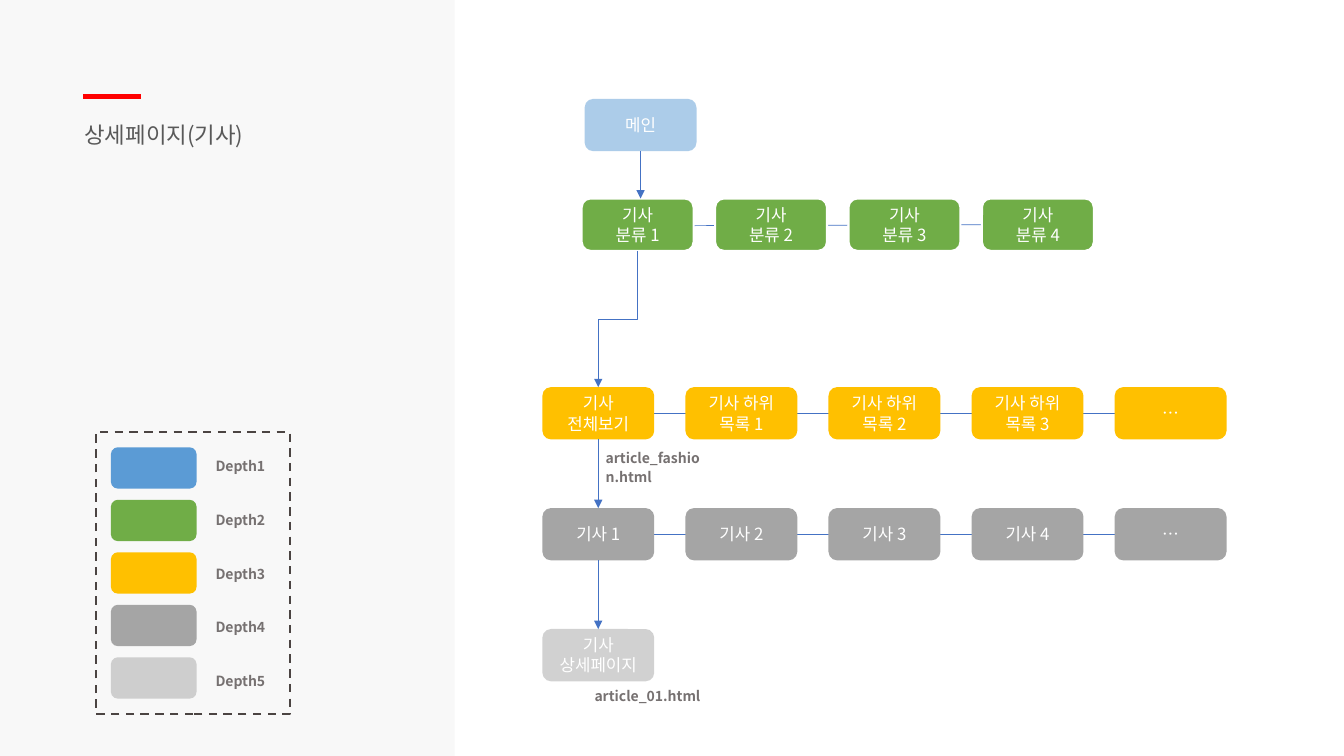
from dataclasses import dataclass

from lxml.etree import SubElement
from pptx import Presentation
from pptx.dml.color import RGBColor
from pptx.enum.dml import MSO_LINE
from pptx.enum.shapes import MSO_CONNECTOR, MSO_SHAPE
from pptx.enum.text import MSO_ANCHOR, MSO_AUTO_SIZE, PP_ALIGN
from pptx.oxml.ns import qn
from pptx.util import Pt


@dataclass(frozen=True)
class Theme:
    font: str = "Noto Sans CJK KR"
    white: str = "FFFFFF"
    panel: str = "F2F2F2"
    accent: str = "FF0000"
    title: str = "595959"
    label: str = "767171"
    frame: str = "4B4442"
    link: str = "4472C4"
    depth1: str = "5B9BD5"
    depth2: str = "70AD47"
    depth3: str = "FFC000"
    depth4: str = "A5A5A5"
    title_size: int = 16
    node_size: int = 12
    label_size: int = 10


class SiteMap:
    """Draws the elements of a site map; all lengths are in points."""

    def __init__(self, slide, theme):
        self.slide = slide
        self.theme = theme

    def fill_text(self, frame, lines, size, color, bold=False, align=None, spacing=None):
        for number, line in enumerate(lines):
            paragraph = frame.add_paragraph() if number else frame.paragraphs[0]
            paragraph.alignment = align
            if spacing:
                paragraph.line_spacing = Pt(spacing)
            run = paragraph.add_run()
            run.text = line
            run.font.size = Pt(size)
            run.font.bold = bold
            run.font.name = self.theme.font
            run.font.color.rgb = RGBColor.from_string(color)
            SubElement(run.font._element, qn("a:ea"), typeface=self.theme.font)

    def block(self, kind, x, y, w, h, fill=None, faded=False,
              line=None, line_width=1.5, dashed=False):
        shape = self.slide.shapes.add_shape(kind, Pt(x), Pt(y), Pt(w), Pt(h))
        shape.shadow.inherit = False
        if fill:
            shape.fill.solid()
            shape.fill.fore_color.rgb = RGBColor.from_string(fill)
            if faded:
                tint = shape._element.spPr.find(qn("a:solidFill"))[0]
                SubElement(tint, qn("a:alpha"), val="50000")
        else:
            shape.fill.background()
        if line:
            shape.line.color.rgb = RGBColor.from_string(line)
            shape.line.width = Pt(line_width)
            if dashed:
                shape.line.dash_style = MSO_LINE.DASH
        else:
            shape.line.fill.background()
        return shape

    def node(self, x, y, lines, fill, faded=False, line=None):
        shape = self.block(MSO_SHAPE.ROUNDED_RECTANGLE, x, y, NODE_W, NODE_H,
                           fill, faded, line)
        frame = shape.text_frame
        frame.word_wrap = True
        frame.vertical_anchor = MSO_ANCHOR.MIDDLE
        self.fill_text(frame, lines, self.theme.node_size, self.theme.white,
                       align=PP_ALIGN.CENTER)

    def row(self, left, top, pitch, captions, fill, line=None):
        for column, lines in enumerate(captions):
            self.node(left + column * pitch, top, lines, fill, line=line)

    def text(self, x, y, w, h, words, size, color, spacing, bold=False):
        box = self.slide.shapes.add_textbox(Pt(x), Pt(y), Pt(w), Pt(h))
        frame = box.text_frame
        frame.word_wrap = True
        frame.auto_size = MSO_AUTO_SIZE.SHAPE_TO_FIT_TEXT
        self.fill_text(frame, [words], size, color, bold, spacing=spacing)

    def label(self, x, y, w, h, words):
        self.text(x, y, w, h, words, self.theme.label_size, self.theme.label,
                  spacing=13, bold=True)

    def link(self, x1, y1, x2, y2, color=None, width=0.5, arrow=False,
             kind=MSO_CONNECTOR.STRAIGHT):
        connector = self.slide.shapes.add_connector(kind, Pt(x1), Pt(y1), Pt(x2), Pt(y2))
        connector.line.color.rgb = RGBColor.from_string(color or self.theme.link)
        connector.line.width = Pt(width)
        properties = connector._element.spPr
        if arrow:
            SubElement(properties.find(qn("a:ln")), qn("a:tailEnd"), type="triangle")
        SubElement(properties, qn("a:effectLst"))
        return connector

    def elbow_down(self, x1, y1, x2, y2):
        # A quarter turn makes the elbow leave downwards
        mid_x, mid_y = (x1 + x2) / 2, (y1 + y2) / 2
        half_run, half_shift = (y2 - y1) / 2, (x1 - x2) / 2
        elbow = self.link(mid_x - half_run, mid_y - half_shift,
                          mid_x + half_run, mid_y + half_shift,
                          arrow=True, kind=MSO_CONNECTOR.ELBOW)
        elbow._element.spPr.find(qn("a:xfrm")).set("rot", "5400000")


NODE_W, NODE_H = 79.9, 37.4
MAIN_X, MAIN_Y = 417.6, 70.6
CATEGORY_X, CATEGORY_Y, CATEGORY_PITCH = 415.5, 141.8, 95.3
LIST_X, LIST_Y, LIST_PITCH = 387.4, 276.5, 102.2
ROW_PITCH = 86.4
ARTICLE_Y = LIST_Y + ROW_PITCH
DETAIL_Y = ARTICLE_Y + ROW_PITCH


def main():
    theme = Theme()
    deck = Presentation()
    deck.slide_width, deck.slide_height = Pt(960), Pt(540)
    site = SiteMap(deck.slides.add_slide(deck.slide_layouts[6]), theme)

    # Side panel with title
    site.block(MSO_SHAPE.RECTANGLE, 0, 0, 324.7, 540, theme.panel, faded=True)
    site.text(53.3, 79.9, 160.6, 27.4, "상세페이지(기사)",
              theme.title_size, theme.title, spacing=22)
    site.link(59.6, 69.1, 100.9, 69.1, theme.accent, 3.5)

    # Lines behind the rows
    site.link(CATEGORY_X + NODE_W, 161.2, CATEGORY_X + 3 * CATEGORY_PITCH, 160.5)
    for top in (ARTICLE_Y, LIST_Y):
        middle = top + NODE_H / 2
        site.link(LIST_X + NODE_W, middle, LIST_X + 4 * LIST_PITCH, middle)

    # Page nodes, from main page to detail page
    site.node(MAIN_X, MAIN_Y, ["메인"], theme.depth1, faded=True)
    site.row(CATEGORY_X, CATEGORY_Y, CATEGORY_PITCH,
             [["기사", f"분류 {n}"] for n in range(1, 5)], theme.depth2, theme.white)
    site.row(LIST_X, LIST_Y, LIST_PITCH,
             [["기사", "전체보기"], *([f"기사 하위 목록 {n}"] for n in range(1, 4)), ["…"]],
             theme.depth3)
    site.row(LIST_X, ARTICLE_Y, LIST_PITCH,
             [*([f"기사 {n}"] for n in range(1, 5)), ["…"]], theme.depth4)
    site.node(LIST_X, DETAIL_Y, ["기사 상세페이지"], theme.depth4, faded=True)

    # Arrows between depths
    main_center = MAIN_X + NODE_W / 2
    list_center = LIST_X + NODE_W / 2
    site.link(main_center, MAIN_Y + NODE_H, main_center, CATEGORY_Y, arrow=True)
    site.elbow_down(CATEGORY_X + NODE_W / 2, CATEGORY_Y + NODE_H, list_center, LIST_Y)
    for top in (LIST_Y, ARTICLE_Y):
        site.link(list_center, top + NODE_H, list_center, top + ROW_PITCH, arrow=True)

    # File names
    site.label(425.5, 316.8, 82.8, 32.4, "article_fashion.html")
    site.label(417.6, 486.7, 90.7, 19.4, "article_01.html")

    # Legend
    site.block(MSO_SHAPE.RECTANGLE, 68.4, 308.9, 139, 200.9,
               line=theme.frame, dashed=True)
    depths = [theme.depth1, theme.depth2, theme.depth3, theme.depth4, theme.depth4]
    for index, color in enumerate(depths):
        site.block(MSO_SHAPE.ROUNDED_RECTANGLE, 79.2, 319.5 + 37.5 * index, 61.2, 29.5,
                   color, faded=index == 4)
        site.label(146.9, 322.6 + 38.3 * index, 90.7, 19.4, f"Depth{index + 1}")

    deck.save("out.pptx")


if __name__ == "__main__":
    main()
